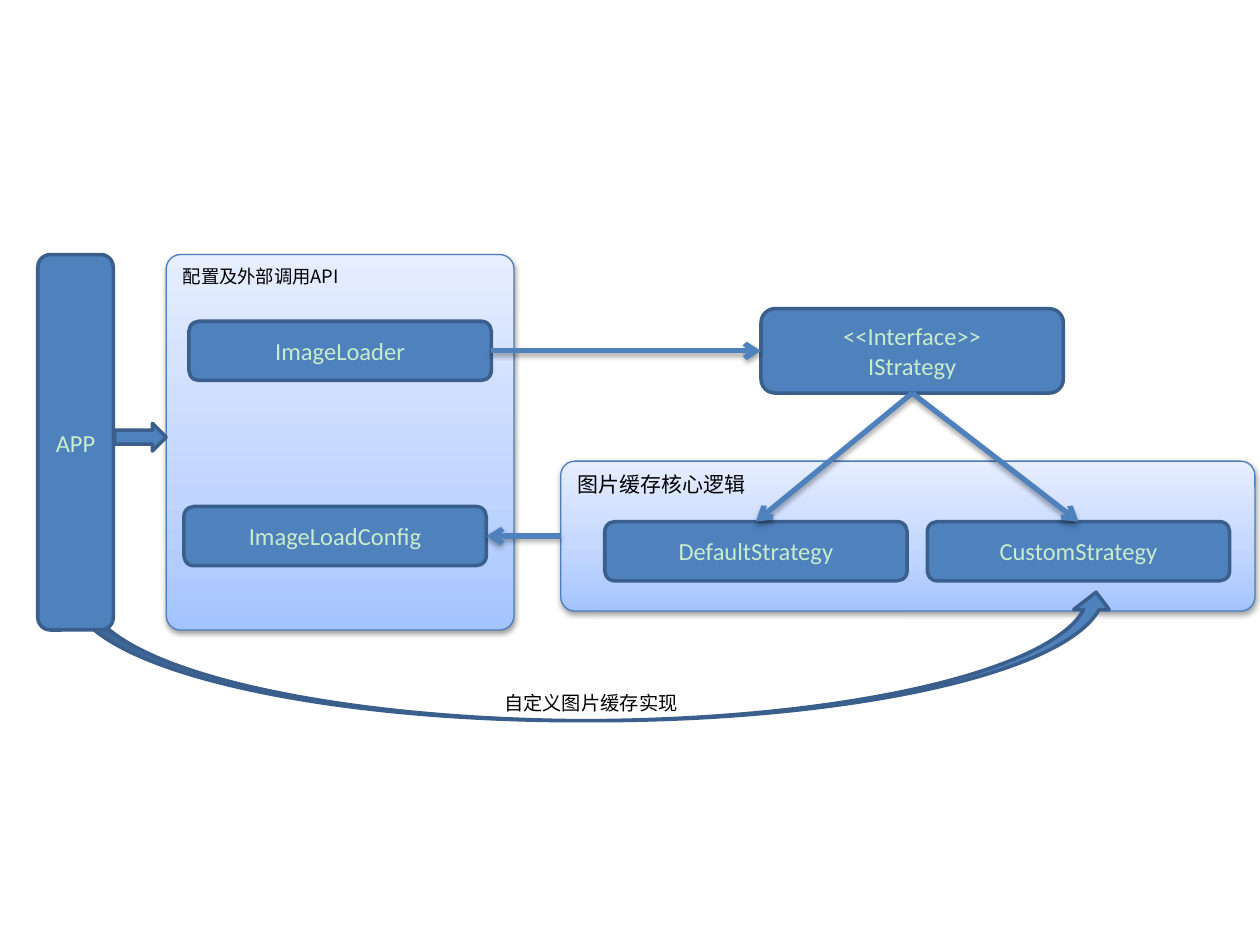
from lxml import etree
from pptx import Presentation
from pptx.dml.color import RGBColor
from pptx.enum.shapes import MSO_CONNECTOR, MSO_SHAPE
from pptx.enum.text import MSO_ANCHOR, PP_ALIGN
from pptx.oxml.ns import qn
from pptx.util import Inches, Pt

ROUND = MSO_SHAPE.ROUNDED_RECTANGLE
RIGHT_ARROW = MSO_SHAPE.RIGHT_ARROW
CURVED_ARROW = MSO_SHAPE.CURVED_UP_ARROW
STRAIGHT = MSO_CONNECTOR.STRAIGHT
CENTER, LEFT_ALIGN = PP_ALIGN.CENTER, PP_ALIGN.LEFT
MIDDLE, TOP_ANCHOR = MSO_ANCHOR.MIDDLE, MSO_ANCHOR.TOP
TOP, LEFT, BOTTOM, RIGHT = range(4)

COLORS = {
    "background": "FFFFFF",
    "blue": "4F81BD",
    "border": "3A5F8C",
    "panel_border": "4B7EBC",
    "label": "C7EDCC",
    "black": "000000",
}
PANEL_STOPS = [(0, "A4C4FF"), (35, "BFD4FF"), (100, "E6EEFF")]
LATIN, CJK = "Calibri", "Noto Sans CJK SC"


def rgb(name):
    return RGBColor.from_string(COLORS[name])


def sub(parent, tag, **attrs):
    el = etree.SubElement(parent, qn(tag))
    for key, value in attrs.items():
        el.set(key, str(value))
    return el


def add_shadow(effects, alpha, dist):
    shadow = sub(effects, "a:outerShdw", blurRad=Pt(3.1), dist=Pt(dist),
                 dir=90 * 60000, rotWithShape=0)
    color = sub(shadow, "a:srgbClr", val=COLORS["black"])
    sub(color, "a:alpha", val=alpha * 1000)


def add_text(s, lines, size, font, color, align=CENTER, anchor=MIDDLE):
    tf = s.text_frame
    tf.word_wrap = True
    tf.vertical_anchor = anchor
    for i, line in enumerate(lines):
        p = tf.add_paragraph() if i else tf.paragraphs[0]
        p.alignment = align
        r = p.add_run()
        r.text = line
        r.font.size = Pt(size)
        r.font.name = font
        r.font.color.rgb = rgb(color)
        sub(r.font._element, "a:ea", typeface=font)


def add_block(slide, kind, box, adjustments=(), border="border", width=2):
    s = slide.shapes.add_shape(kind, *map(Inches, box))
    for i, value in enumerate(adjustments):
        s.adjustments[i] = value
    s.fill.solid()
    s.fill.fore_color.rgb = rgb("blue")
    s.line.color.rgb = rgb(border)
    s.line.width = Pt(width)
    s.shadow.inherit = False
    return s


def add_panel(slide, box, title, size, corner):
    s = add_block(slide, ROUND, box, [corner], "panel_border", 0.75)
    s.fill.gradient()
    s.fill.gradient_angle = 90
    stops = s._element.spPr.find(".//" + qn("a:gsLst"))
    for stop in list(stops):
        stops.remove(stop)
    for pos, color in PANEL_STOPS:
        sub(sub(stops, "a:gs", pos=pos * 1000), "a:srgbClr", val=color)
    add_shadow(s._element.spPr.find(qn("a:effectLst")), 38, 1.6)
    add_text(s, [title], size, CJK, "black", LEFT_ALIGN, TOP_ANCHOR)
    return s


def add_node(slide, left, top, *lines, width=2.4, height=0.47):
    s = add_block(slide, ROUND, (left, top, width, height))
    add_text(s, lines, 14, LATIN, "label")
    return s


def add_link(slide, start, start_site, end, end_site):
    c = slide.shapes.add_connector(STRAIGHT, 0, 0, 0, 0)
    c.begin_connect(start, start_site)
    c.end_connect(end, end_site)
    c.line.color.rgb = rgb("blue")
    c.line.width = Pt(3)
    spPr = c._element.spPr
    sub(spPr.find(qn("a:ln")), "a:tailEnd", type="arrow")
    add_shadow(sub(spPr, "a:effectLst"), 35, 1.8)


def add_caption(slide, box, text):
    s = slide.shapes.add_textbox(*map(Inches, box))
    add_text(s, [text], 11, CJK, "black")


def main():
    prs = Presentation()
    prs.slide_width, prs.slide_height = Inches(10), Inches(7.5)
    slide = prs.slides.add_slide(prs.slide_layouts[6])
    slide.background.fill.solid()
    slide.background.fill.fore_color.rgb = rgb("background")

    add_panel(slide, (1.32, 2.02, 2.76, 2.98), "配置及外部调用API", 10.5, 0.041)
    core = add_panel(slide, (4.45, 3.66, 5.51, 1.19), "图片缓存核心逻辑", 12, 0.095)

    strategy = add_node(slide, 6.04, 2.45, "<<Interface>>", "IStrategy", height=0.67)
    loader = add_node(slide, 1.5, 2.55, "ImageLoader")
    config = add_node(slide, 1.46, 4.02, "ImageLoadConfig")
    default = add_node(slide, 4.8, 4.14, "DefaultStrategy")
    custom = add_node(slide, 7.36, 4.14, "CustomStrategy")

    add_link(slide, loader, RIGHT, strategy, LEFT)
    add_link(slide, strategy, BOTTOM, default, TOP)
    add_link(slide, strategy, BOTTOM, custom, TOP)
    add_link(slide, core, LEFT, config, RIGHT)

    add_block(slide, CURVED_ARROW, (0.57, 4.7, 8.27, 1.02), (0.119, 0.276, 0.135))
    add_caption(slide, (3.69, 5.43, 2, 0.3), "自定义图片缓存实现")
    add_node(slide, 0.3, 2.02, "APP", width=0.6, height=2.98)
    add_block(slide, RIGHT_ARROW, (0.91, 3.36, 0.41, 0.22))

    prs.save("out.pptx")


main()
